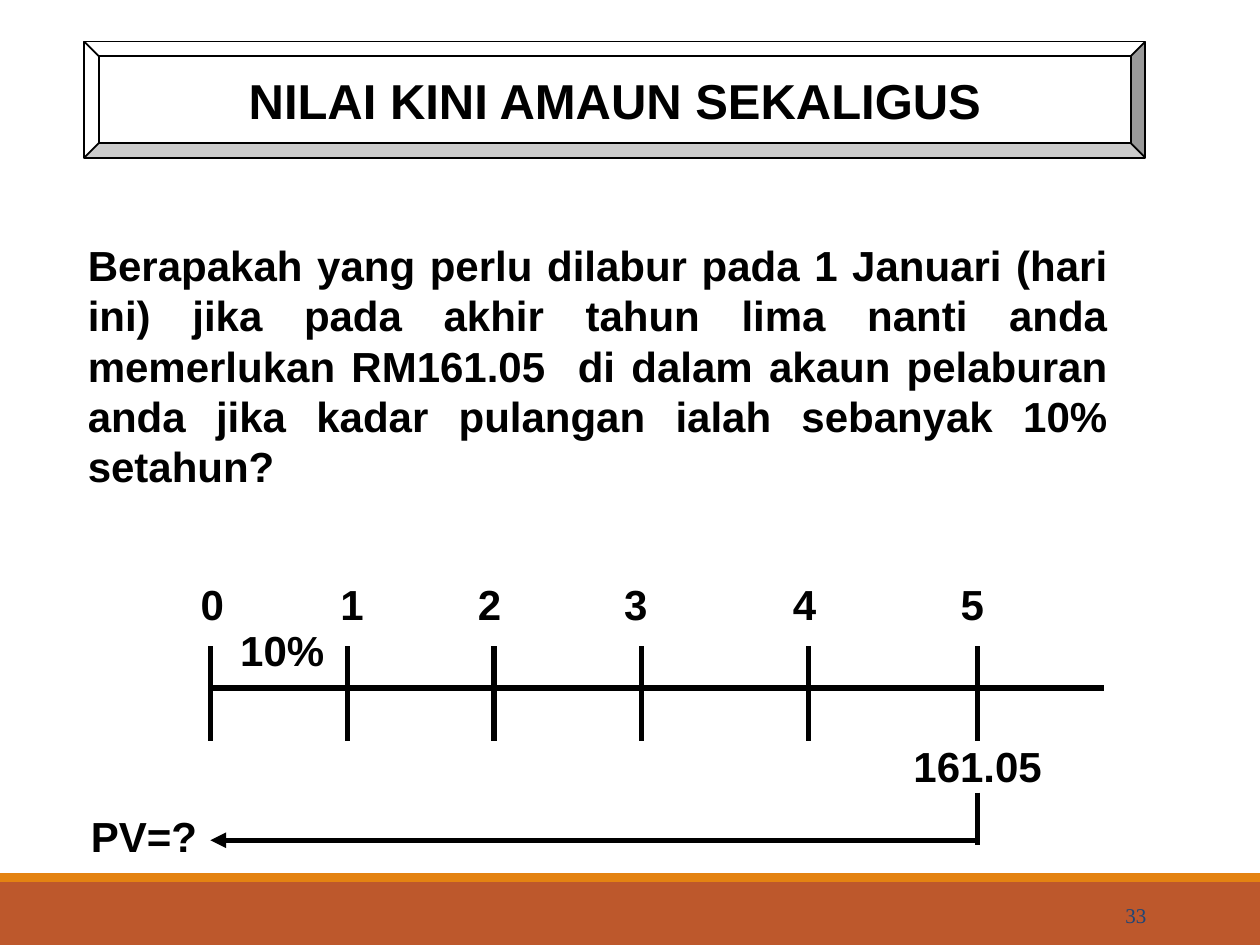
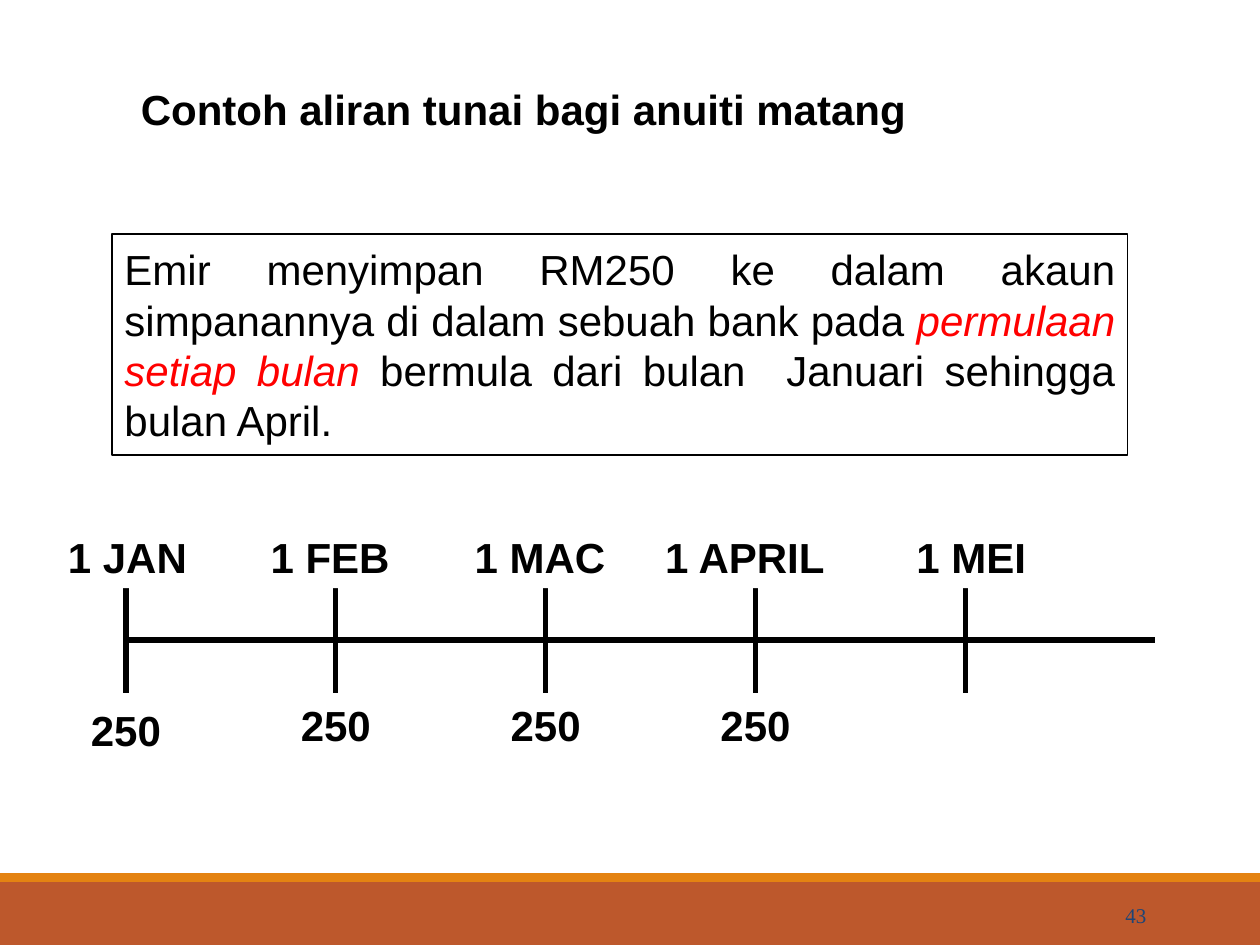
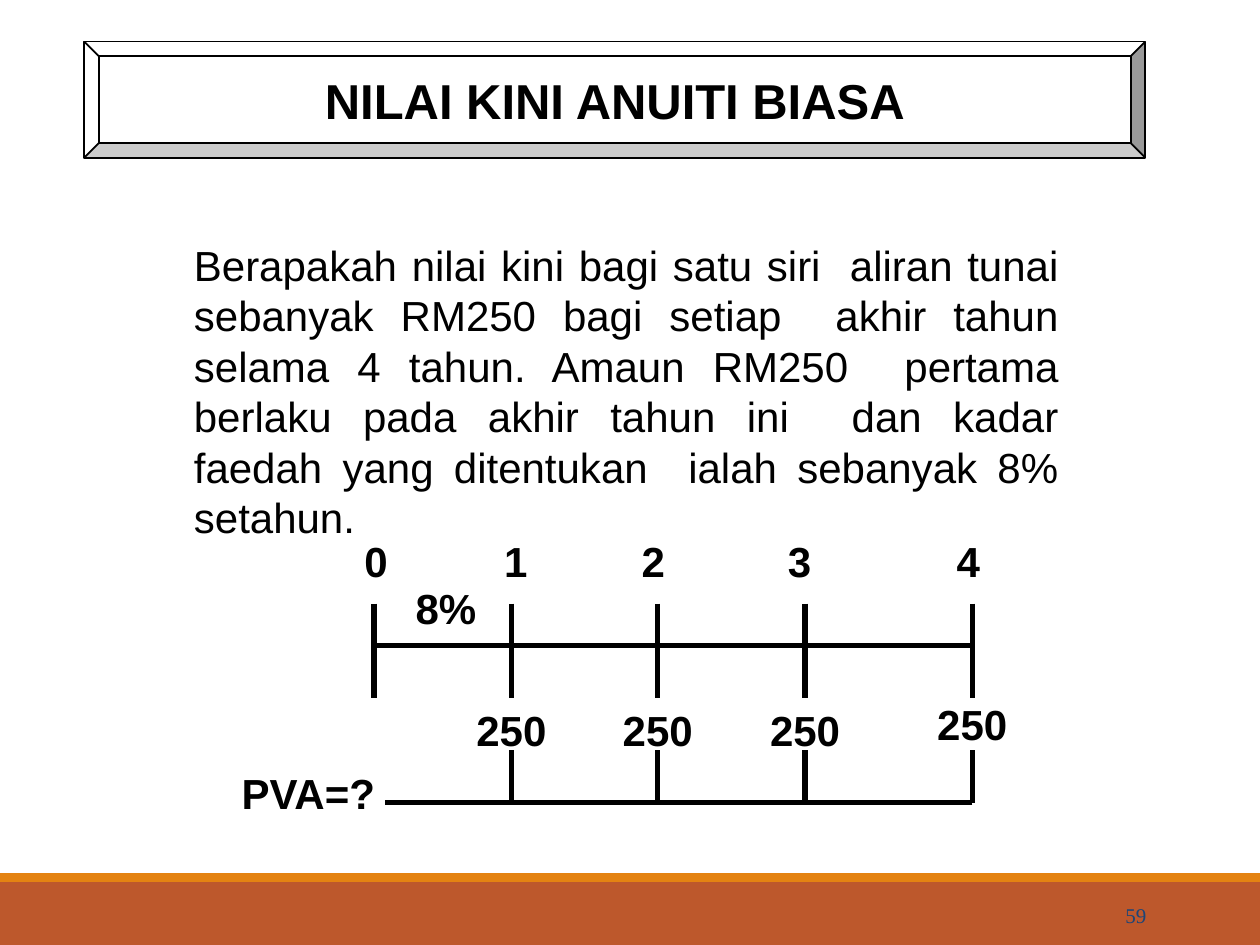
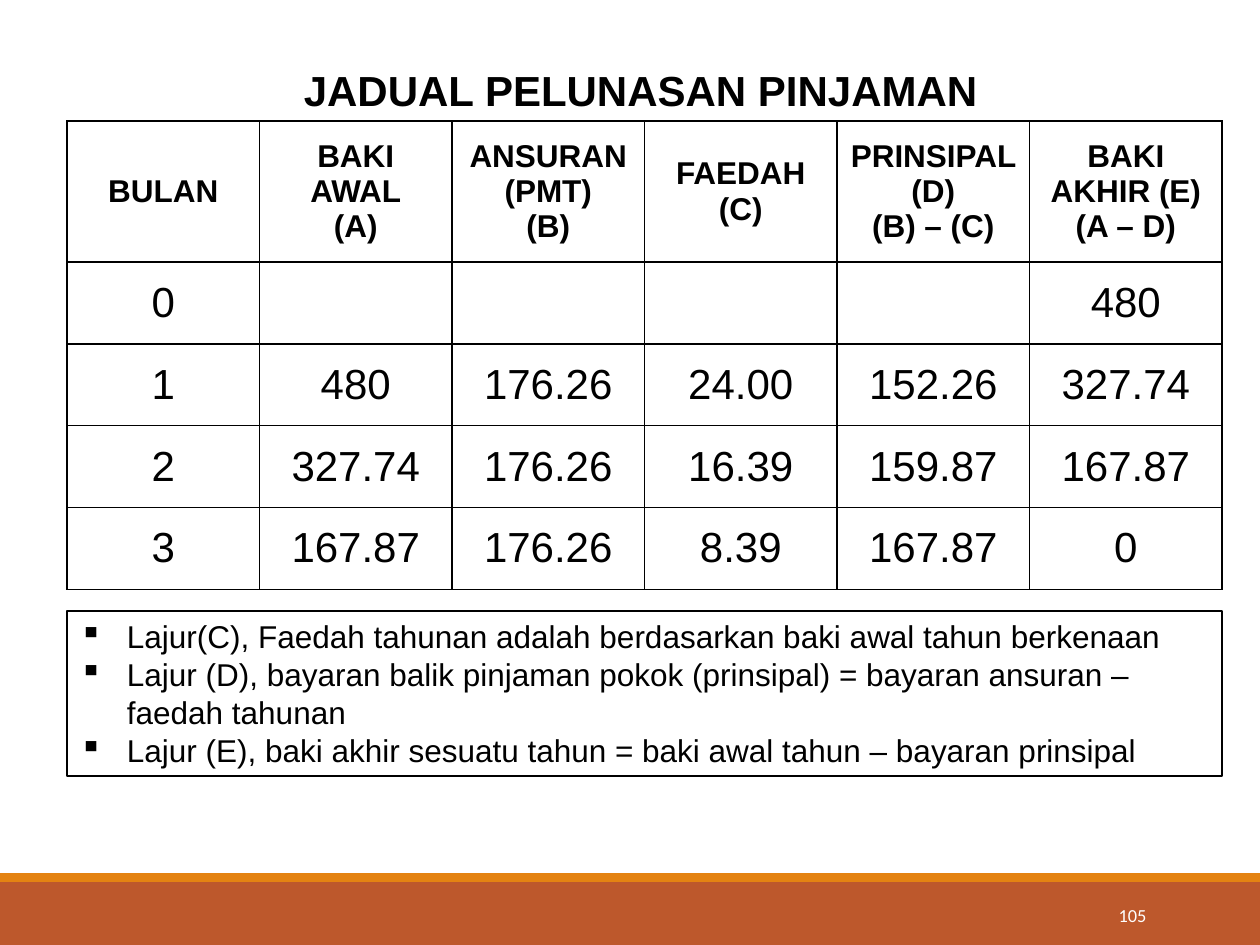
from dataclasses import dataclass, field
from typing import NamedTuple

from lxml.etree import SubElement
from pptx import Presentation
from pptx.dml.color import RGBColor
from pptx.enum.shapes import MSO_CONNECTOR as Connector, MSO_SHAPE as Preset
from pptx.enum.text import MSO_ANCHOR as Anchor, PP_ALIGN as Align
from pptx.oxml.ns import qn
from pptx.util import Cm, Pt

COLORS = {
    "ink": "000000",
    "paper": "FFFFFF",
    "emphasis": "FF0000",
    "band": "BD582C",
    "stripe": "E48312",
    "page": "1D4577",
}
LABEL_HEIGHT = 1.27
AMOUNT_WIDTH = 1.93


class Box(NamedTuple):
    """Left, top, width and height in centimetres."""
    left: float
    top: float
    width: float
    height: float

    def lengths(self) -> list:
        return [Cm(value) for value in self]


@dataclass(frozen=True)
class Style:
    size: float = 24
    bold: bool = True
    color: str = "ink"
    font: str = "Arial"
    align: Align = Align.CENTER


LABEL = Style()
TITLE = Style(size=28)
HEADING = Style(align=Align.LEFT)
BODY = Style(bold=False, align=Align.JUSTIFY)
BOLD_BODY = Style(align=Align.JUSTIFY)
NOTE = Style(size=18, bold=False, align=Align.LEFT)
TABLE_HEAD = Style(size=18)
TABLE_VALUE = Style(bold=False)
PAGE = Style(12, False, "page", "Times New Roman", Align.RIGHT)
LIGHT_PAGE = Style(10.5, False, "paper", "Calibri", Align.RIGHT)


def rgb(name: str) -> RGBColor:
    return RGBColor.from_string(COLORS[name])


def style_paragraph(paragraph, style: Style) -> None:
    paragraph.alignment = style.align
    font = paragraph.font
    font.name, font.size, font.bold = style.font, Pt(style.size), style.bold
    font.color.rgb = rgb(style.color)


def write(frame, text: str, style: Style, bullet: str = "") -> None:
    """Fill a text frame, one paragraph for each line of text."""
    for index, line in enumerate(text.split("\n")):
        paragraph = frame.add_paragraph() if index else frame.paragraphs[0]
        paragraph.add_run().text = line
        if bullet:
            properties = paragraph._p.get_or_add_pPr()
            properties.set("marL", str(Cm(0.96)))
            properties.set("indent", str(Cm(-0.96)))
            color = SubElement(properties, qn("a:buClr"))
            SubElement(color, qn("a:srgbClr"), val=COLORS["ink"])
            SubElement(properties, qn("a:buChar"), char=bullet)
        style_paragraph(paragraph, style)


def add_text(slide, box: Box, text: str, style: Style = LABEL,
             anchor: Anchor = Anchor.TOP, wrap: bool = True):
    frame = slide.shapes.add_textbox(*box.lengths()).text_frame
    frame.word_wrap = wrap
    frame.vertical_anchor = anchor
    write(frame, text, style)


def add_panel(slide, box: Box, fill: str = "paper", outlined: bool = False,
              preset: Preset = Preset.RECTANGLE, anchor: Anchor = Anchor.MIDDLE):
    panel = slide.shapes.add_shape(preset, *box.lengths())
    panel.shadow.inherit = False
    panel.fill.solid()
    panel.fill.fore_color.rgb = rgb(fill)
    if outlined:
        panel.line.color.rgb = rgb("ink")
        panel.line.width = Pt(1)
    else:
        panel.line.fill.background()
    panel.text_frame.word_wrap = True
    panel.text_frame.vertical_anchor = anchor
    return panel


def add_line(slide, x1: float, y1: float, x2: float, y2: float, arrow: bool = False):
    line = slide.shapes.add_connector(Connector.STRAIGHT, Cm(x1), Cm(y1), Cm(x2), Cm(y2))
    line.line.color.rgb = rgb("ink")
    line.line.width = Pt(3)
    if arrow:
        SubElement(line.line._get_or_add_ln(), qn("a:tailEnd"), type="triangle")
    SubElement(line.element.spPr, qn("a:effectLst"))


def add_label(slide, center: float, top: float, width: float, text: str):
    box = Box(center - width / 2, top, width, LABEL_HEIGHT)
    add_text(slide, box, text, wrap=False)


def new_slide(prs, page: str, page_style: Style = PAGE):
    """Add a blank slide with the footer bands and its page number."""
    slide = prs.slides.add_slide(prs.slide_layouts[6])
    add_panel(slide, Box(0, 17.78, 25.4, 1.27), "band")
    add_panel(slide, Box(0, 17.6, 25.4, 0.18), "stripe")
    add_text(slide, Box(20.62, 17.93, 2.74, 1.02), page, page_style, Anchor.MIDDLE)
    return slide


def add_title(slide, text: str):
    plate = add_panel(slide, Box(1.7, 0.84, 21.39, 2.34), outlined=True, preset=Preset.BEVEL)
    plate.adjustments[0] = 0.125
    write(plate.text_frame, text, TITLE)


class Payment(NamedTuple):
    year: int
    amount: str
    width: float = AMOUNT_WIDTH
    drop: float = 1.9


@dataclass(frozen=True)
class Timeline:
    """A present-value timeline; lengths are in centimetres."""
    left: float
    top: float
    last_year: int
    axis_length: float
    rate: str
    rate_width: float
    question: str
    question_box: tuple[float, float]
    return_start: float
    return_drop: float
    arrow: bool = False
    payments: list[Payment] = field(default_factory=list)


YEAR_TICKS = (0, 2.77, 5.72, 8.69, 12.06, 15.47)
YEAR_NUMERALS = (0.04, 2.86, 5.63, 8.58, 11.98, 15.36)


def add_timeline(slide, plan: Timeline):
    left, top = plan.left, plan.top
    axis = top + 0.84
    add_line(slide, left, axis, left + plan.axis_length, axis)
    for year in range(plan.last_year + 1):
        tick = left + YEAR_TICKS[year]
        add_line(slide, tick, top, tick, top + 1.9)
        add_label(slide, left + YEAR_NUMERALS[year], top - 1.5, 0.99, str(year))
    add_label(slide, left + 1.45, top - 0.56, plan.rate_width, plan.rate)
    for payment in plan.payments:
        tick = left + YEAR_TICKS[payment.year]
        add_label(slide, tick, top + payment.drop, payment.width, payment.amount)
        add_line(slide, tick, top + 2.95, tick, top + 4.01)
    returns = top + plan.return_drop
    add_line(slide, left + YEAR_TICKS[plan.last_year], returns,
             plan.return_start, returns, plan.arrow)
    question_left, question_width = plan.question_box
    add_label(slide, question_left + question_width / 2, top + 3.18,
              question_width, plan.question)


def build_lump_sum(prs):
    slide = new_slide(prs, "33")
    add_title(slide, "NILAI KINI AMAUN SEKALIGUS")
    add_text(slide, Box(1.52, 4.7, 21.06, 5.38),
             "Berapakah yang perlu dilabur pada 1 Januari (hari ini) jika pada akhir "
             "tahun lima nanti anda memerlukan RM161.05  di dalam akaun pelaburan anda "
             "jika kadar pulangan ialah sebanyak 10% setahun?", BOLD_BODY)
    add_timeline(slide, Timeline(
        left=4.24, top=13.03, last_year=5, axis_length=18.01,
        rate="10%", rate_width=2.24,
        question="PV=?", question_box=(1.57, 2.67),
        return_start=4.24, return_drop=3.91, arrow=True,
        payments=[Payment(5, "161.05", 3.12, 1.78)]))


class Month(NamedTuple):
    name: str
    left: float
    width: float
    inset: float
    amount: str = ""
    amount_top: float = 13.97


MONTHS = (
    Month("1 JAN", 0.61, 3.45, 0.72, "250", 14.07),
    Month("1 FEB", 4.72, 3.4, 0.72, "250"),
    Month("1 MAC", 8.81, 3.68, 0.72, "250"),
    Month("1 APRIL", 12.9, 3.99, 0.49, "250"),
    Month("1 MEI", 17.73, 3.23, 0.72),
)


def build_annuity_due(prs):
    slide = new_slide(prs, "43")
    add_text(slide, Box(2.59, 1.55, 19.25, LABEL_HEIGHT),
             "Contoh aliran tunai bagi anuiti matang", HEADING)

    example = add_panel(slide, Box(2.26, 4.72, 20.47, 4.45), outlined=True)
    sentence = example.text_frame.paragraphs[0]
    style_paragraph(sentence, BODY)
    sentence.add_run().text = ("Emir menyimpan RM250 ke dalam akaun simpanannya "
                               "di dalam sebuah bank pada ")
    timing = sentence.add_run()
    timing.text = "permulaan setiap bulan "
    timing.font.italic = True
    timing.font.color.rgb = rgb("emphasis")
    sentence.add_run().text = "bermula dari bulan  Januari sehingga bulan April."

    start, spacing = 2.54, 4.23
    add_line(slide, start, 12.9, 23.29, 12.9)
    for index, month in enumerate(MONTHS):
        tick = start + index * spacing
        add_line(slide, tick, 11.86, tick, 13.97)
        name = add_panel(slide, Box(month.left, 10.59, month.width, LABEL_HEIGHT),
                         anchor=Anchor.TOP).text_frame
        name.margin_left = Cm(month.inset)
        name.word_wrap = False
        write(name, month.name, LABEL)
        if month.amount:
            add_label(slide, tick, month.amount_top, AMOUNT_WIDTH, month.amount)


def build_ordinary_annuity(prs):
    slide = new_slide(prs, "59")
    add_title(slide, "NILAI KINI ANUITI BIASA")
    problem = add_panel(slide, Box(3.66, 4.7, 17.93, 6.35))
    write(problem.text_frame,
          "Berapakah nilai kini bagi satu siri  aliran tunai sebanyak RM250 bagi setiap  "
          "akhir tahun selama 4 tahun. Amaun RM250  pertama berlaku pada akhir tahun ini  "
          "dan kadar faedah yang ditentukan  ialah sebanyak 8% setahun.", BODY)
    add_timeline(slide, Timeline(
        left=7.54, top=12.17, last_year=4, axis_length=12.06,
        rate="8%", rate_width=1.75,
        question="PVA=?", question_box=(4.6, 3.23),
        return_start=7.77, return_drop=4.01,
        payments=[*(Payment(year, "250") for year in (1, 2, 3)),
                  Payment(4, "250", drop=1.78)]))


SCHEDULE = (
    ("BULAN", "BAKI AWAL\n(A)", "ANSURAN (PMT)\n(B)", "FAEDAH\n(C)",
     "PRINSIPAL (D)\n(B) – (C)", "BAKI AKHIR (E)\n(A – D)"),
    ("0", "", "", "", "", "480"),
    ("1", "480", "176.26", "24.00", "152.26", "327.74"),
    ("2", "327.74", "176.26", "16.39", "159.87", "167.87"),
    ("3", "167.87", "176.26", "8.39", "167.87", "0"),
)


def outline_cell(cell):
    properties = cell._tc.get_or_add_tcPr()
    for side in ("a:lnL", "a:lnR", "a:lnT", "a:lnB"):
        border = SubElement(properties, qn(side), w=str(Pt(1)))
        fill = SubElement(border, qn("a:solidFill"))
        SubElement(fill, qn("a:srgbClr"), val=COLORS["ink"])


def add_schedule(slide, box: Box):
    table = slide.shapes.add_table(len(SCHEDULE), len(SCHEDULE[0]), *box.lengths()).table
    table.first_row = table.horz_banding = False
    for column in table.columns:
        column.width = Cm(box.width / len(SCHEDULE[0]))
    for index, values in enumerate(SCHEDULE):
        table.rows[index].height = Cm(1.65 if index else 2.84)
        for cell, value in zip(table.rows[index].cells, values):
            outline_cell(cell)
            cell.fill.background()
            cell.vertical_anchor = Anchor.MIDDLE
            if value:
                write(cell.text_frame, value, TABLE_VALUE if index else TABLE_HEAD)


def build_loan_schedule(prs):
    slide = new_slide(prs, "105", LIGHT_PAGE)
    add_text(slide, Box(5.79, 1.17, 14.25, LABEL_HEIGHT), "JADUAL PELUNASAN PINJAMAN")
    add_schedule(slide, Box(1.35, 2.44, 23.29, 9.44))
    notes = add_panel(slide, Box(1.35, 12.32, 23.29, 3.33), outlined=True, anchor=Anchor.TOP)
    write(notes.text_frame,
          "Lajur(C), Faedah tahunan adalah berdasarkan baki awal tahun berkenaan\n"
          "Lajur (D), bayaran balik pinjaman pokok (prinsipal) = bayaran ansuran – "
          "faedah tahunan\n"
          "Lajur (E), baki akhir sesuatu tahun = baki awal tahun – bayaran prinsipal",
          NOTE, bullet="▪")


def main():
    prs = Presentation()
    prs.slide_width, prs.slide_height = Cm(25.4), Cm(19.05)
    build_lump_sum(prs)
    build_annuity_due(prs)
    build_ordinary_annuity(prs)
    build_loan_schedule(prs)
    prs.save("out.pptx")


if __name__ == "__main__":
    main()
